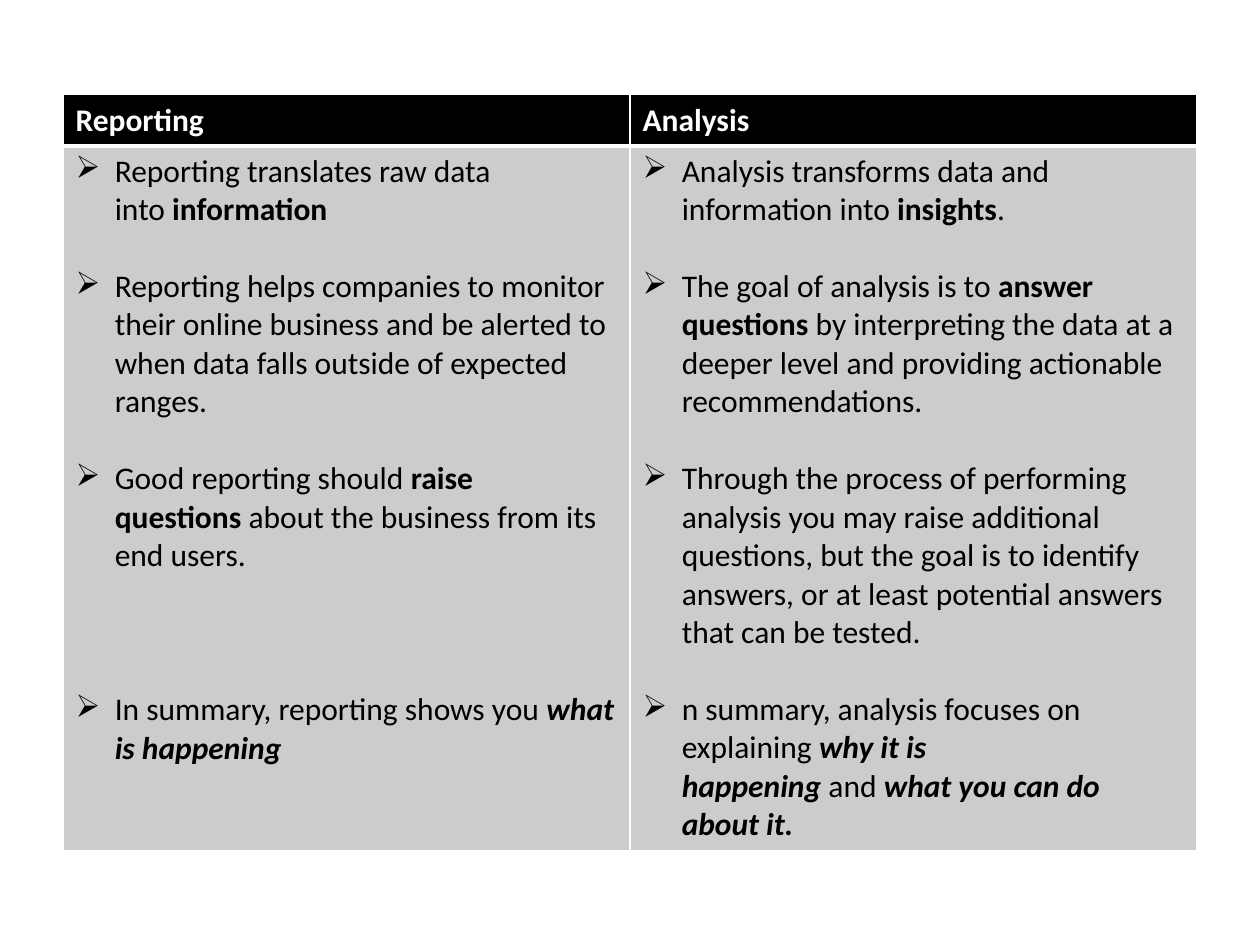
from lxml import etree
from pptx import Presentation
from pptx import util as u
from pptx.dml.color import RGBColor
from pptx.oxml.ns import qn

FONT = "Calibri"
FONT_SIZE = 18
LINE = 22  # height of one text line in points
INDENT = u.Cm(0.79)
BLACK, WHITE, GRAY = "000000", "FFFFFF", "CCCCCC"

# Each point: lines of space before it, then (text, style) spans.
# Styles: b bold, i italic; "~" stands for a no-break space.
COLUMNS = {
    "Reporting": [
        (0, [("Reporting translates raw data into~", ""), ("information", "b")]),
        (1, [("Reporting helps companies to monitor their online business and be "
              "alerted to when data falls outside of expected ranges.", "")]),
        (1, [("Good reporting should~", ""), ("raise questions", "b"),
             ("~about the business from its end users.", "")]),
        (3, [("In summary, reporting shows you~", ""), ("what is happening", "bi")]),
    ],
    "Analysis": [
        (0, [("Analysis transforms data and information into~", ""),
             ("insights", "b"), (".", "")]),
        (1, [("The goal of analysis is to~", ""), ("answer questions", "b"),
             ("~by interpreting the data at a deeper level and providing "
              "actionable recommendations.", "")]),
        (1, [("Through the process of performing analysis you may raise additional "
              "questions, but the goal is to identify answers, or at least "
              "potential answers that can be tested.", "")]),
        (1, [("n summary,~analysis focuses on explaining~", ""),
             ("why it is happening", "bi"), ("~and~", ""),
             ("what you can do about it.", "bi")]),
    ],
}


def color(value):
    return RGBColor.from_string(value)


def add_span(para, content, style, font_color):
    span = para.add_run()
    span.text = content.replace("~", chr(160))
    span.font.name = FONT
    span.font.size = u.Pt(FONT_SIZE)
    span.font.bold = "b" in style
    span.font.italic = "i" in style
    span.font.color.rgb = color(font_color)


def add_bullet(para):
    properties = para._p.get_or_add_pPr()
    properties.set("marL", str(INDENT))
    properties.set("indent", str(-INDENT))
    etree.SubElement(properties, qn("a:buChar")).set("char", "➢")


def style_cell(cell, fill, top, bottom):
    """Draw white borders (widths in points), then fill the cell."""
    properties = cell._tc.get_or_add_tcPr()
    for side, width in (("L", 1), ("R", 1), ("T", top), ("B", bottom)):
        line = etree.SubElement(properties, qn(f"a:ln{side}"), w=str(u.Pt(width)))
        solid = etree.SubElement(line, qn("a:solidFill"))
        etree.SubElement(solid, qn("a:srgbClr"), val=WHITE)
    cell.fill.solid()
    cell.fill.fore_color.rgb = color(fill)


def fill_header(cell, title):
    style_cell(cell, BLACK, 1, 3)
    add_span(cell.text_frame.paragraphs[0], title, "b", WHITE)


def fill_points(cell, points):
    style_cell(cell, GRAY, 3, 1)
    frame = cell.text_frame
    for index, (gap, spans) in enumerate(points):
        para = frame.add_paragraph() if index else frame.paragraphs[0]
        para.space_before = u.Pt(gap * LINE)
        add_bullet(para)
        for content, style in spans:
            add_span(para, content, style, BLACK)


def main():
    deck = Presentation()
    deck.slide_width, deck.slide_height = u.Cm(25.4), u.Cm(19.05)
    page = deck.slides.add_slide(deck.slide_layouts[6])

    # Comparison table: one column per topic
    table = page.shapes.add_table(2, len(COLUMNS), u.Cm(1.27), u.Cm(1.91),
                                  u.Cm(22.86), u.Cm(15.23)).table
    table.rows[0].height = u.Cm(1.03)
    table.rows[1].height = u.Cm(14.2)
    for index, (title, points) in enumerate(COLUMNS.items()):
        fill_header(table.cell(0, index), title)
        fill_points(table.cell(1, index), points)

    deck.save("out.pptx")


if __name__ == "__main__":
    main()
